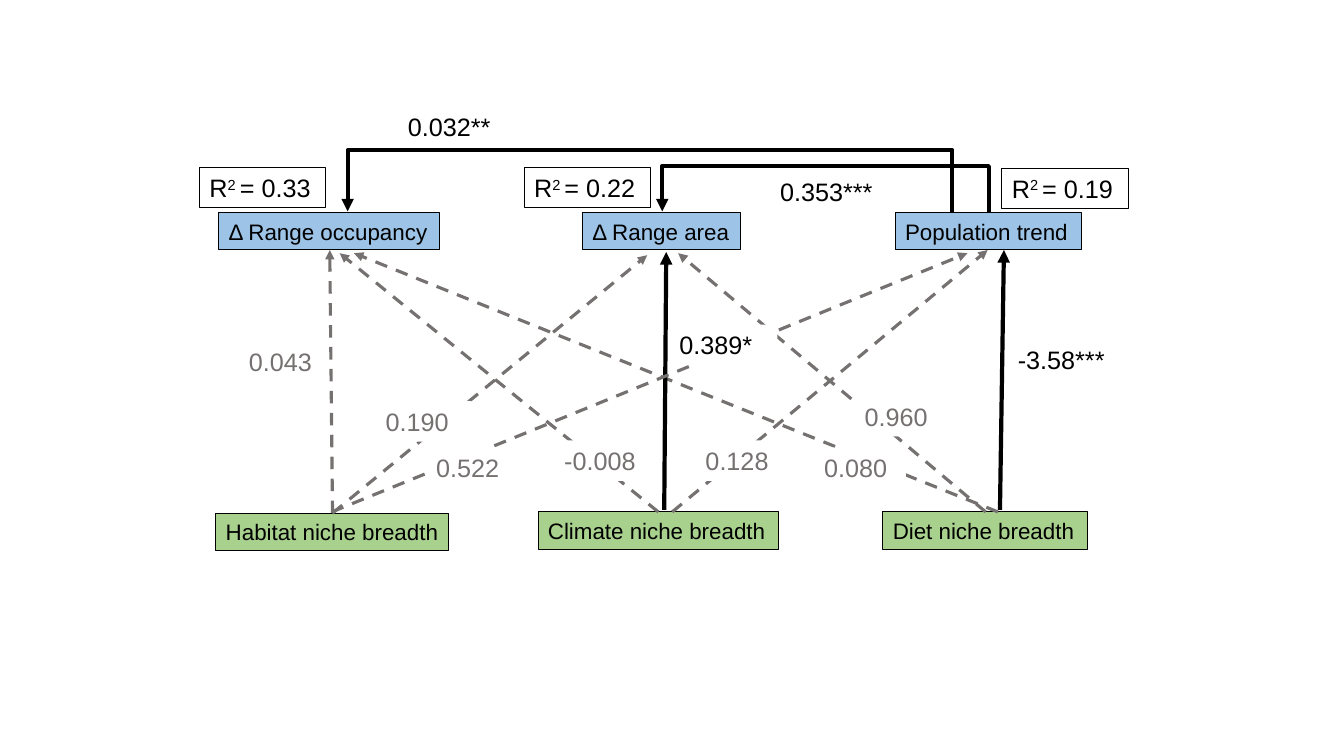
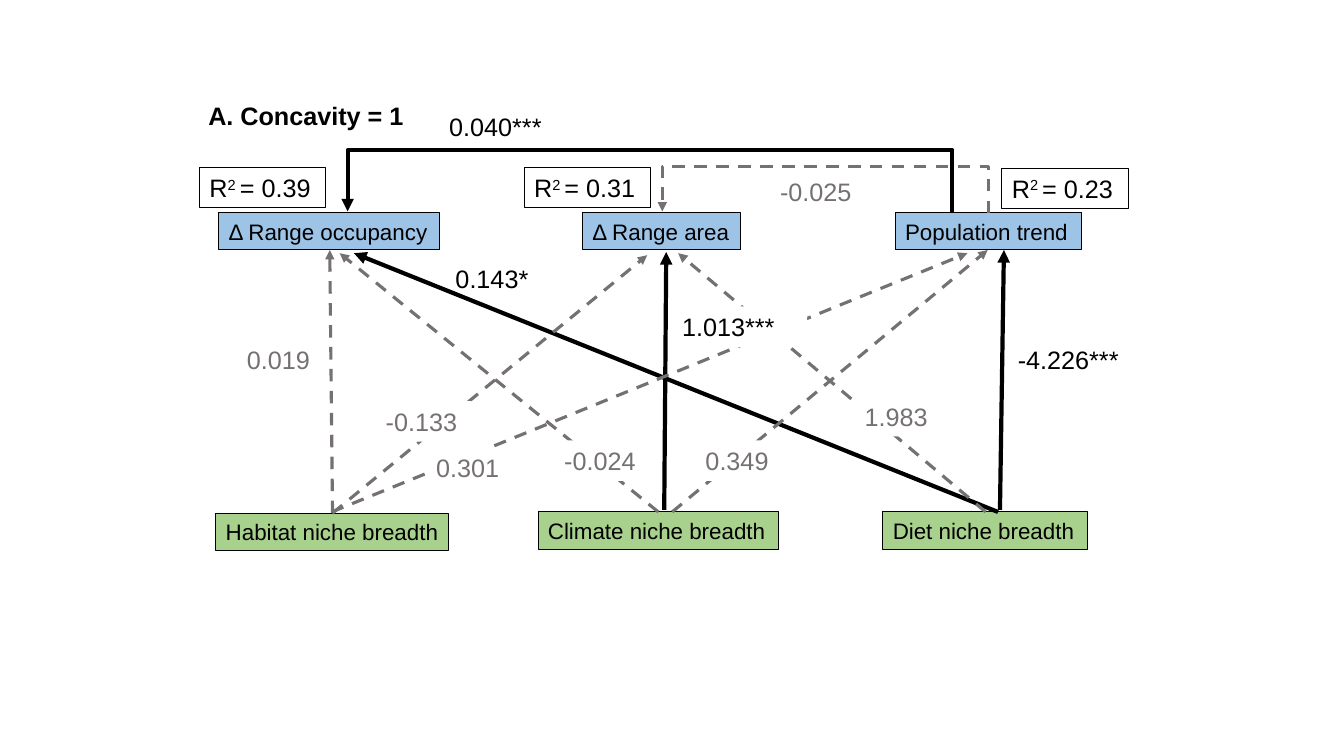
from lxml.etree import SubElement
from pptx import Presentation
from pptx.dml.color import RGBColor
from pptx.enum.dml import MSO_LINE
from pptx.enum.shapes import MSO_CONNECTOR
from pptx.enum.text import MSO_AUTO_SIZE
from pptx.oxml.ns import qn
from pptx.util import Cm, Pt

COLORS = {
    "niche": "A9D18E",
    "response": "9DC3E6",
    "paper": "FFFFFF",
    "strong": "000000",
    "weak": "767171",
}
FONT = "Arial"
NODE_HEIGHT = 0.94
LABEL_HEIGHT = 1.02

nodes = [
    ("Habitat niche breadth", "niche", 5.44, 12.93, 5.87),
    ("Climate niche breadth", "niche", 13.56, 12.9, 6.07),
    ("Diet niche breadth", "niche", 22.25, 12.9, 5.16),
    ("Δ Range occupancy", "response", 5.51, 5.36, 5.56),
    ("Δ Range area", "response", 14.68, 5.36, 3.99),
    ("Population trend", "response", 22.56, 5.36, 4.7),
]
r2_places = [(5.03, 4.22), (13.21, 4.22), (25.25, 4.24)]

straight_paths = {
    "habitat-occupancy": (8.38, 12.93, 8.31, 6.3),
    "climate-occupancy": (16.59, 12.9, 8.56, 6.38),
    "diet-occupancy": (25.15, 12.9, 8.92, 6.38),
    "habitat-area": (8.38, 12.93, 16.31, 6.43),
    "climate-area": (16.74, 12.85, 16.79, 6.35),
    "diet-area": (24.84, 12.9, 17.09, 6.38),
    "climate-trend": (16.94, 12.9, 24.89, 6.3),
    "diet-trend": (25.2, 12.85, 25.3, 6.3),
    "habitat-trend": (8.36, 12.9, 24.38, 6.38),
}
bent_paths = {
    "trend-area": (24.92, 5.38, 16.69, 5.33, 4.19),
    "trend-occupancy": (24.0, 5.36, 8.76, 5.33, 3.78),
}
label_places = {
    "habitat-occupancy": (6.02, 8.59, 2.64),
    "climate-occupancy": (13.97, 11.1, 2.34),
    "diet-occupancy": (20.52, 11.28, 2.31),
    "habitat-area": (9.47, 10.11, 2.41),
    "climate-area": (16.87, 8.18, 2.72),
    "diet-area": (21.54, 9.98, 2.31),
    "climate-trend": (17.53, 11.1, 2.13),
    "diet-trend": (25.4, 8.56, 2.84),
    "habitat-trend": (10.74, 11.28, 2.13),
    "trend-area": (19.41, 4.32, 2.87),
    "trend-occupancy": (10.03, 2.67, 3.05),
}

models = [
    {
        "title": None,
        "r2": ["0.33", "0.22", "0.19"],
        "coefficients": {
            "habitat-occupancy": "0.043",
            "climate-occupancy": "-0.008",
            "diet-occupancy": "0.080",
            "habitat-area": "0.190",
            "climate-area": "0.389*",
            "diet-area": "0.960",
            "climate-trend": "0.128",
            "diet-trend": "-3.58***",
            "habitat-trend": "0.522",
            "trend-area": "0.353***",
            "trend-occupancy": "0.032**",
        },
        "moved": {},
        "unfilled": ["habitat-occupancy"],
    },
    {
        "title": "A. Concavity = 1",
        "r2": ["0.39", "0.31", "0.23"],
        "coefficients": {
            "habitat-occupancy": "0.019",
            "climate-occupancy": "-0.024",
            "diet-occupancy": "0.143*",
            "habitat-area": "-0.133",
            "climate-area": "1.013***",
            "diet-area": "1.983",
            "climate-trend": "0.349",
            "diet-trend": "-4.226***",
            "habitat-trend": "0.301",
            "trend-area": "-0.025",
            "trend-occupancy": "0.040***",
        },
        "moved": {
            "habitat-occupancy": (5.97, 8.56, 2.21),
            "diet-occupancy": (11.23, 6.5, 2.82),
            "climate-area": (16.94, 7.72, 3.4),
            "diet-trend": (25.4, 8.56, 3.18),
            "trend-occupancy": (11.07, 2.67, 2.9),
        },
        "unfilled": ["habitat-occupancy", "diet-occupancy"],
    },
]


def add_label(slide, place, height, runs, size=18, color="strong",
              fill="paper", outlined=False, bold=None):
    left, top, width = place
    label = slide.shapes.add_textbox(Cm(left), Cm(top), Cm(width), Cm(height))
    if fill:
        label.fill.solid()
        label.fill.fore_color.rgb = RGBColor.from_string(COLORS[fill])
    if outlined:
        label.line.color.rgb = RGBColor.from_string(COLORS["strong"])
        label.line.width = Pt(0.75)
    frame = label.text_frame
    frame.word_wrap = True
    frame.auto_size = MSO_AUTO_SIZE.SHAPE_TO_FIT_TEXT
    for text, baseline in runs:
        run = frame.paragraphs[0].add_run()
        run.text = text
        run.font.name = FONT
        run.font.size = Pt(size)
        run.font.bold = bold
        run.font.color.rgb = RGBColor.from_string(COLORS[color])
        if baseline:
            run.font._element.set("baseline", str(baseline))


def style_path(path, coefficient):
    significant = "*" in coefficient
    color = COLORS["strong" if significant else "weak"]
    path.line.color.rgb = RGBColor.from_string(color)
    path.line.width = Pt(3 if significant else 2.25)
    if not significant:
        path.line.dash_style = MSO_LINE.DASH
    properties = path._element.spPr
    SubElement(properties.find(qn("a:ln")), qn("a:tailEnd"), type="triangle")
    SubElement(properties, qn("a:effectLst"))


prs = Presentation()
prs.slide_width = Cm(33.87)
prs.slide_height = Cm(19.05)

for model in models:
    slide = prs.slides.add_slide(prs.slide_layouts[6])
    coefficients = model["coefficients"]

    for name, group, left, top, width in nodes:
        add_label(slide, (left, top, width), NODE_HEIGHT, [(name, 0)],
                  size=16, fill=group, outlined=True)

    for key, (x1, y1, x2, y2) in straight_paths.items():
        path = slide.shapes.add_connector(
            MSO_CONNECTOR.STRAIGHT, Cm(x1), Cm(y1), Cm(x2), Cm(y2))
        style_path(path, coefficients[key])

    for key, (x1, y1, x2, y2, rail) in bent_paths.items():
        drop, span = y1 - y2, x1 - x2
        left = (x1 + x2 - drop) / 2
        top = (y1 + y2 - span) / 2
        path = slide.shapes.add_connector(
            MSO_CONNECTOR.ELBOW, Cm(left), Cm(top), Cm(left + drop), Cm(top + span))
        style_path(path, coefficients[key])
        properties = path._element.spPr
        transform = properties.find(qn("a:xfrm"))
        transform.set("rot", "16200000")
        transform.set("flipV", "1")
        adjustments = properties.find(qn("a:prstGeom")).find(qn("a:avLst"))
        bend = round((y1 - rail) / drop * 100000)
        SubElement(adjustments, qn("a:gd"), name="adj1", fmla=f"val {bend}")

    for key, coefficient in coefficients.items():
        place = model["moved"].get(key, label_places[key])
        add_label(slide, place, LABEL_HEIGHT, [(coefficient, 0)],
                  color="strong" if "*" in coefficient else "weak",
                  fill=None if key in model["unfilled"] else "paper")

    for (left, top), r2 in zip(r2_places, model["r2"]):
        add_label(slide, (left, top, 3.18), LABEL_HEIGHT,
                  [("R", 0), ("2 ", 30000), (f"= {r2}", 0)], outlined=True)

    if model["title"]:
        add_label(slide, (5, 2.41, 5.69), LABEL_HEIGHT, [(model["title"], 0)], bold=True)

prs.save("out.pptx")
